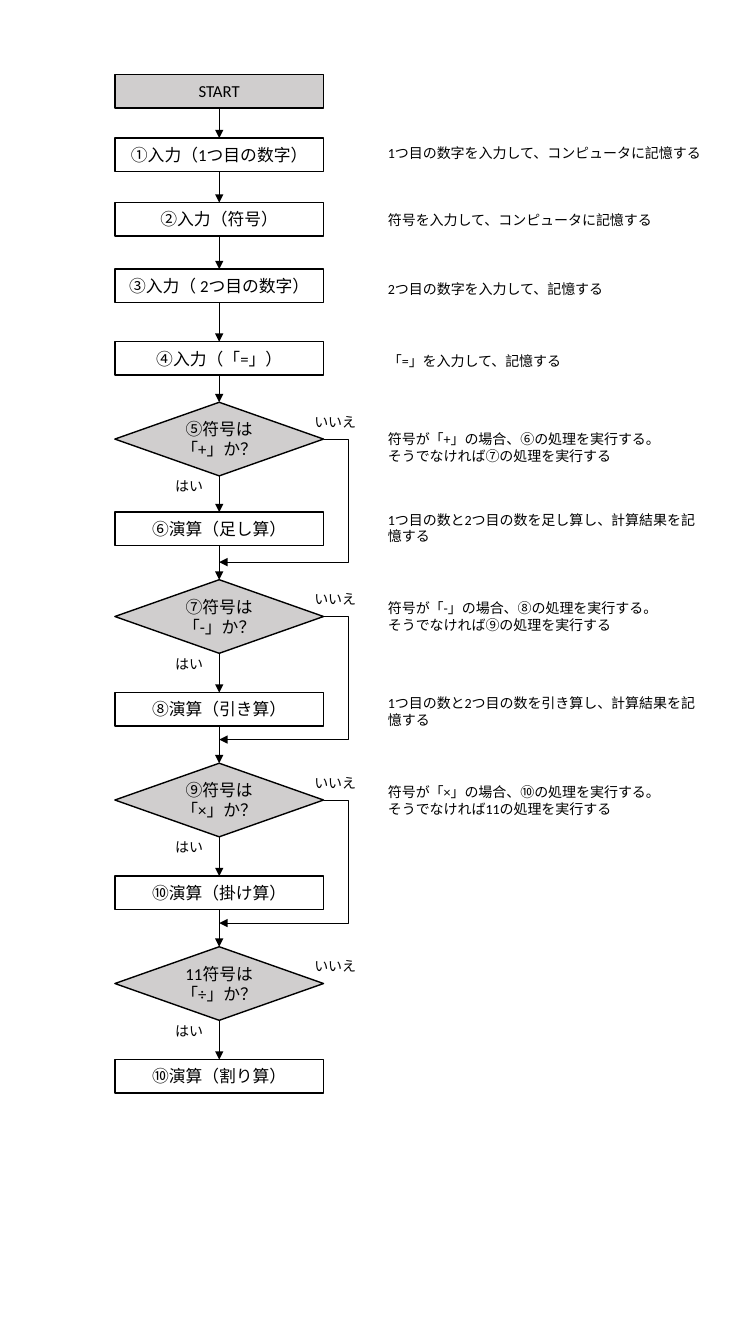
from itertools import pairwise

from lxml.etree import SubElement
from pptx import Presentation
from pptx.dml.color import RGBColor
from pptx.enum.shapes import MSO_CONNECTOR as CONNECTOR, MSO_SHAPE as SHAPE
from pptx.enum.text import MSO_ANCHOR as ANCHOR, PP_ALIGN as ALIGN
from pptx.oxml.ns import qn
from pptx.util import Inches, Pt

COLORS = {"ink": "000000", "process": "FFFFFF", "decision": "D0CECE"}
FONT = "Calibri"

STEP_LEFT, STEP_WIDTH = 1.14, 2.07
STEP_RIGHT = STEP_LEFT + STEP_WIDTH
FLOW_X = STEP_LEFT + STEP_WIDTH / 2
HEIGHTS = {"start": 0.33, "process": 0.33, "decision": 0.73}
BYPASS_DROP, BYPASS_REACH = 1.22, 0.25
NOTE_LEFT, NOTE_WIDTH = 3.75, 3.36

# kind, top, wording
STEPS = [
    ("start", 0.74, "START"),
    ("process", 1.37, "①入力（1つ目の数字）"),
    ("process", 2.01, "②入力（符号）"),
    ("process", 2.67, "③入力（ 2つ目の数字）"),
    ("process", 3.39, "④入力（「=」）"),
    ("decision", 3.99, "⑤符号は「+」か？"),
    ("process", 5.08, "⑥演算（足し算）"),
    ("decision", 5.75, "⑦符号は「-」か？"),
    ("process", 6.87, "⑧演算（引き算）"),
    ("decision", 7.57, "⑨符号は「×」か？"),
    ("process", 8.69, "⑩演算（掛け算）"),
    ("decision", 9.39, "11符号は「÷」か？"),
    ("process", 10.51, "⑩演算（割り算）"),
]

# top, width, wording
NOTES = [
    (1.38, NOTE_WIDTH, "1つ目の数字を入力して、コンピュータに記憶する"),
    (2.05, 2.87, "符号を入力して、コンピュータに記憶する"),
    (2.73, 2.38, "2つ目の数字を入力して、記憶する"),
    (3.45, 1.96, "「=」を入力して、記憶する"),
    (4.22, NOTE_WIDTH, "符号が「+」の場合、⑥の処理を実行する。\nそうでなければ⑦の処理を実行する"),
    (5.02, NOTE_WIDTH, "1つ目の数と2つ目の数を足し算し、計算結果を記憶する"),
    (5.9, NOTE_WIDTH, "符号が「-」の場合、⑧の処理を実行する。\nそうでなければ⑨の処理を実行する"),
    (6.84, NOTE_WIDTH, "1つ目の数と2つ目の数を引き算し、計算結果を記憶する"),
    (7.72, NOTE_WIDTH, "符号が「×」の場合、⑩の処理を実行する。\nそうでなければ11の処理を実行する"),
]


def rgb(name):
    """Return the named colour."""
    return RGBColor.from_string(COLORS[name])


def write(frame, wording, size, align):
    """Fill a text frame and format its runs."""
    frame.text = wording
    frame.word_wrap = True
    for paragraph in frame.paragraphs:
        paragraph.alignment = align
        for run in paragraph.runs:
            run.font.name = FONT
            run.font.size = Pt(size)
            run.font.color.rgb = rgb("ink")


def add_step(slide, kind, top, wording):
    """Draw one flowchart step: a box, or a diamond for a decision."""
    outline = SHAPE.DIAMOND if kind == "decision" else SHAPE.RECTANGLE
    step = slide.shapes.add_shape(outline, Inches(STEP_LEFT), Inches(top),
                                  Inches(STEP_WIDTH), Inches(HEIGHTS[kind]))
    step.shadow.inherit = False
    step.fill.solid()
    step.fill.fore_color.rgb = rgb("process" if kind == "process" else "decision")
    step.line.color.rgb = rgb("ink")
    step.line.width = Pt(1)
    step.text_frame.vertical_anchor = ANCHOR.MIDDLE
    write(step.text_frame, wording, 12, ALIGN.CENTER)


def add_text(slide, left, top, width, wording):
    """Place a small note or branch label."""
    height = 0.44 if "\n" in wording else 0.27
    box = slide.shapes.add_textbox(Inches(left), Inches(top), Inches(width), Inches(height))
    write(box.text_frame, wording, 10, ALIGN.LEFT)


def add_arrow(slide, kind, start, end):
    """Draw a thin connector with a triangle at its end."""
    arrow = slide.shapes.add_connector(kind, *map(Inches, start + end))
    arrow.line.color.rgb = rgb("ink")
    arrow.line.width = Pt(0.5)
    SubElement(arrow.line._get_or_add_ln(), qn("a:tailEnd"), type="triangle")
    SubElement(arrow._element.spPr, qn("a:effectLst"))
    return arrow


def add_bypass(slide, top):
    """Lead the "no" branch of a decision around the next step."""
    middle = top + HEIGHTS["decision"] / 2
    bypass = add_arrow(slide, CONNECTOR.ELBOW, (STEP_RIGHT, middle),
                       (FLOW_X, middle + BYPASS_DROP))
    bend = round(-BYPASS_REACH / (STEP_RIGHT - FLOW_X) * 100000)
    adjustments = bypass._element.spPr.find(qn("a:prstGeom")).get_or_add_avLst()
    SubElement(adjustments, qn("a:gd"), name="adj1", fmla=f"val {bend}")


def main():
    """Build the calculator flowchart."""
    deck = Presentation()
    deck.slide_width, deck.slide_height = Inches(7.5), Inches(13.33)
    slide = deck.slides.add_slide(deck.slide_layouts[6])

    for step in STEPS:
        add_step(slide, *step)
    for (kind, top, _), (_, next_top, _) in pairwise(STEPS):
        add_arrow(slide, CONNECTOR.STRAIGHT, (FLOW_X, top + HEIGHTS[kind]), (FLOW_X, next_top))

    decision_tops = [top for kind, top, _ in STEPS if kind == "decision"]
    for top in decision_tops:
        add_text(slide, 1.64, top + 0.7, 0.56, "はい")
        add_text(slide, 3.02, top + 0.06, 0.66, "いいえ")
    for top in decision_tops[:-1]:
        add_bypass(slide, top)

    for top, width, wording in NOTES:
        add_text(slide, NOTE_LEFT, top, width, wording)
    deck.save("out.pptx")


main()
